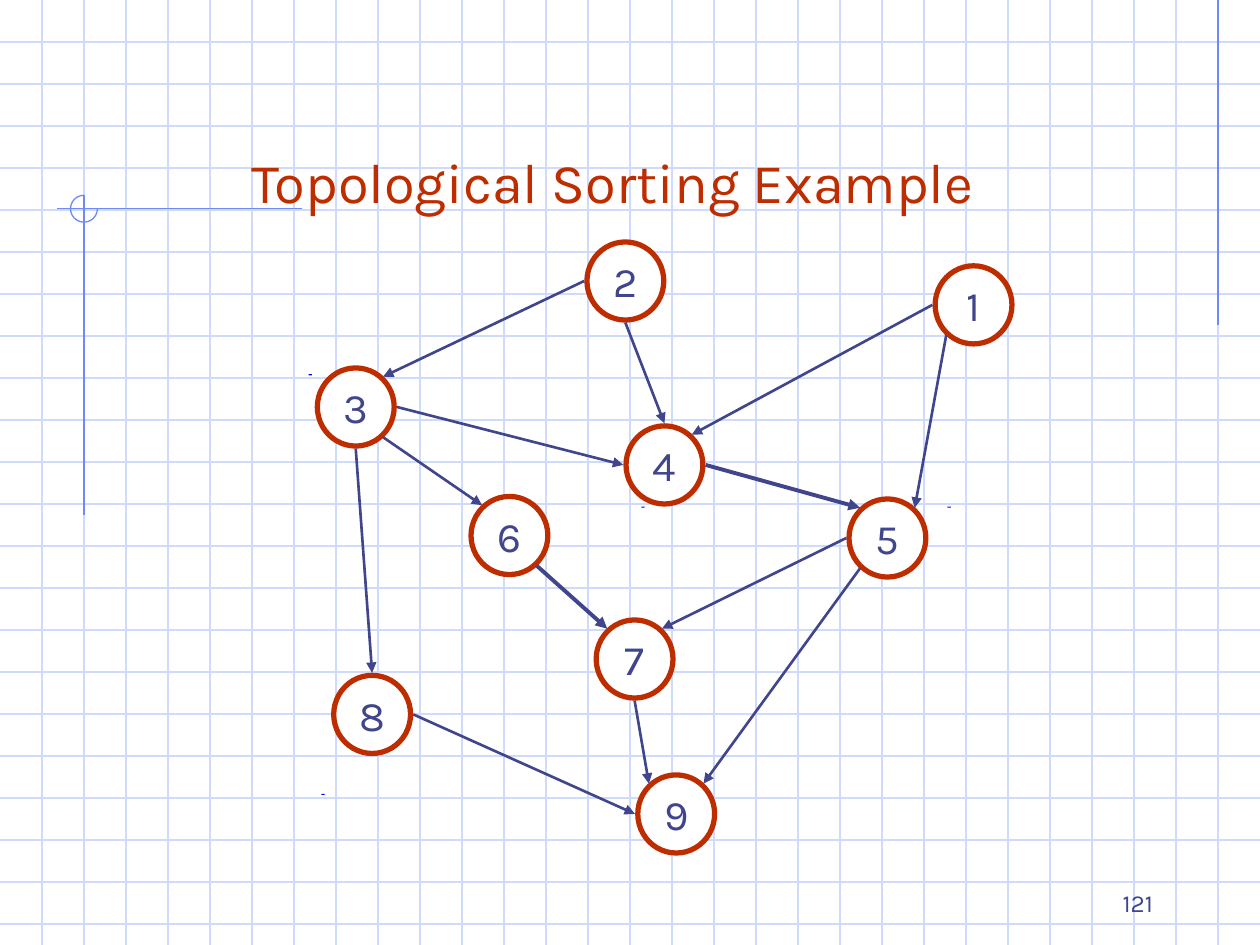
from dataclasses import dataclass
from lxml import etree
from pptx import Presentation
from pptx.dml.color import RGBColor as RGB
from pptx.enum.shapes import MSO_CONNECTOR as CONN, MSO_SHAPE as SHAPE
from pptx.enum.text import MSO_ANCHOR as ANCHOR, PP_ALIGN as ALIGN
from pptx.oxml.ns import qn
from pptx.util import Emu, Inches, Pt


@dataclass(frozen=True)
class Theme:
    font: str = "Karla"
    paper: str = "FFFFFF"
    grid: str = "CFDBFD"
    accent: str = "6F89F7"
    title: str = "BE2D00"
    ink: str = "40458C"
    tick: str = "0000FF"
    title_size: int = 32
    node_size: int = 24
    number_size: int = 14
    hairline: float = 0.75
    edge: float = 1.5
    bold_edge: float = 2.25
    ring: float = 3


COLS, ROWS = 30, 22.5
NODE_W, NODE_H = 1.83, 1.86

NODES = {
    2: (14.89, 6.69), 7: (15.11, 15.69), 4: (15.82, 11.07),
    8: (8.86, 17.01), 5: (21.13, 12.81), 6: (12.13, 12.75),
    1: (23.18, 7.26), 3: (8.47, 9.69), 9: (16.1, 19.38),
}
PORTS = {
    "n": (0, -0.99), "s": (0, 0.99), "w": (-0.98, 0), "e": (0.98, 0),
    "nw": (-0.65, -0.72), "ne": (0.65, -0.72),
    "sw": (-0.65, 0.72), "se": (0.65, 0.72),
}
EDGES = [
    (2, "w", 3, "ne"), (2, "s", 4, "n"), (1, "w", 4, "ne"),
    (5, "w", 7, "ne"), (5, "sw", 9, "ne"), (8, "e", 9, "w"),
    (7, "s", 9, "nw"), (6, "se", 7, "nw"), (3, "se", 6, "nw"),
    (3, "s", 8, "n"), (3, "e", 4, "w"), (4, "e", 5, "nw"),
    (1, "sw", 5, "ne"),
]
BOLD_EDGES = {(6, 7), (4, 5)}
TICKS = [(7.35, 8.91), (15.27, 12.06), (22.56, 12.06), (7.65, 18.9)]
ACCENTS = [
    ((29, 0), (29, 7.74)),
    ((7.2, 4.97), (1.35, 4.97)),
    ((2, 4.65), (2, 12.27)),
]


class Canvas:
    def __init__(self, prs, theme):
        self.theme = theme
        self.s = prs.slides.add_slide(prs.slide_layouts[6])
        self.cell = prs.slide_width / COLS
        fill = self.s.background.fill
        fill.solid()
        fill.fore_color.rgb = RGB.from_string(theme.paper)

    def cells(self, *lengths):
        return [Emu(round(n * self.cell)) for n in lengths]

    def line(self, start, end, color, width, arrow=False):
        sp = self.s.shapes.add_connector(CONN.STRAIGHT, *self.cells(*start, *end))
        sp.line.color.rgb = RGB.from_string(color)
        sp.line.width = Pt(width)
        props = sp._element.spPr
        if arrow:
            etree.SubElement(props.find(qn("a:ln")), qn("a:tailEnd"), type="triangle")
        etree.SubElement(props, qn("a:effectLst"))

    def shape(self, kind, box, fill=None, line=None, width=0):
        sp = self.s.shapes.add_shape(kind, *self.cells(*box))
        sp.shadow.inherit = False
        if fill:
            sp.fill.solid()
            sp.fill.fore_color.rgb = RGB.from_string(fill)
        else:
            sp.fill.background()
        if line:
            sp.line.color.rgb = RGB.from_string(line)
            sp.line.width = Pt(width)
        else:
            sp.line.fill.background()
        return sp

    def label(self, sp, text, size, color, align, anchor, wrap):
        tf = sp.text_frame
        frame = {
            "word_wrap": wrap, "vertical_anchor": anchor,
            "margin_left": Inches(0.1), "margin_right": Inches(0.1),
            "margin_top": Inches(0.05), "margin_bottom": Inches(0.05),
        }
        for name, value in frame.items():
            setattr(tf, name, value)
        p = tf.paragraphs[0]
        p.alignment = align
        r = p.add_run()
        r.text = text
        for name, value in {"name": self.theme.font, "size": Pt(size)}.items():
            setattr(r.font, name, value)
        r.font.color.rgb = RGB.from_string(color)

    def text(self, box, text, size, color, align):
        sp = self.s.shapes.add_textbox(*self.cells(*box))
        self.label(sp, text, size, color, align, ANCHOR.BOTTOM, True)

    def node(self, number, center):
        x, y = center
        box = (x - NODE_W / 2, y - NODE_H / 2, NODE_W, NODE_H)
        t = self.theme
        sp = self.shape(SHAPE.OVAL, box, t.paper, t.title, t.ring)
        self.label(sp, str(number), t.node_size, t.ink, ALIGN.CENTER, ANCHOR.MIDDLE, False)

    def edge(self, source, out_port, target, in_port):
        start, end = (
            [c + d for c, d in zip(NODES[node], PORTS[port])]
            for node, port in ((source, out_port), (target, in_port))
        )
        t = self.theme
        width = t.bold_edge if (source, target) in BOLD_EDGES else t.edge
        self.line(start, end, t.ink, width, arrow=True)

    def graph_paper(self):
        t = self.theme
        for row in range(1, int(ROWS) + 1):
            self.line((0, row), (COLS, row), t.grid, t.hairline)
        for col in range(1, COLS):
            self.line((col, 0), (col, ROWS), t.grid, t.hairline)
        for start, end in ACCENTS:
            self.line(start, end, t.accent, t.hairline)
        arc = self.shape(SHAPE.ARC, (1.68, 4.65, 0.64, 0.64), line=t.accent, width=t.hairline)
        arc.adjustments[0], arc.adjustments[1] = 0, 162


def main():
    prs = Presentation()
    prs.slide_width, prs.slide_height = Inches(10), Inches(7.5)
    t = Theme()
    canvas = Canvas(prs, t)
    canvas.graph_paper()
    canvas.text((2, 1.5, 25.5, 3.75), "Topological Sorting Example ",
                t.title_size, t.title, ALIGN.CENTER)
    for x, y in TICKS:
        canvas.shape(SHAPE.RECTANGLE, (x, y, 0.08, 0.03), t.tick)
    for number, center in NODES.items():
        canvas.node(number, center)
    for edge in EDGES:
        canvas.edge(*edge)
    canvas.text((21.5, 20.5, 6.25, 1.5), "121", t.number_size, t.ink, ALIGN.RIGHT)
    prs.save("out.pptx")


if __name__ == "__main__":
    main()
